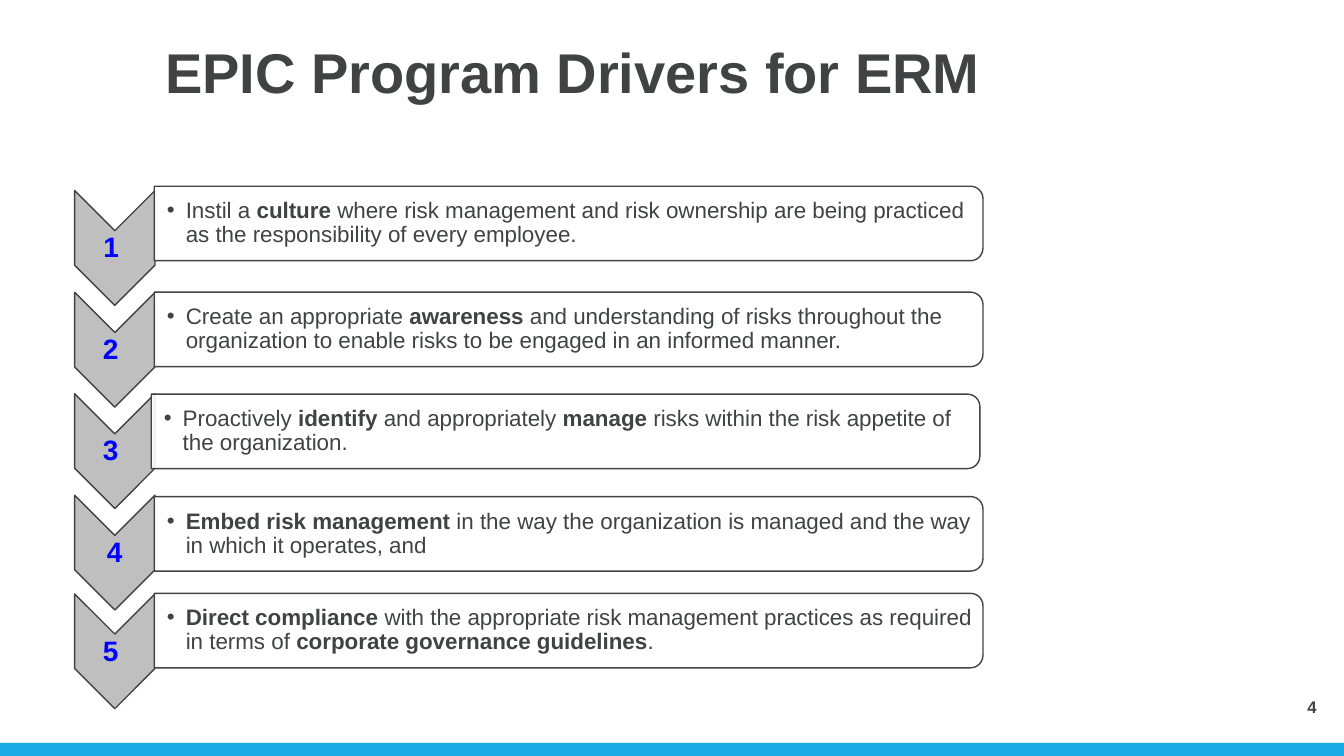
from dataclasses import dataclass

from lxml.etree import SubElement
from pptx import Presentation
from pptx.dml.color import RGBColor
from pptx.enum.shapes import MSO_SHAPE
from pptx.enum.text import MSO_ANCHOR, PP_ALIGN
from pptx.oxml.ns import qn
from pptx.util import Pt


@dataclass(frozen=True)
class Theme:
    ink: str = "414244"
    blue: str = "0000FF"
    grey: str = "BFBFBF"
    white: str = "FFFFFF"
    stripe: str = "00A1E0"
    font: str = "Arial"
    title: int = 40
    number: int = 20
    body: int = 16
    page: int = 12


THEME = Theme()
WIDE, HIGH = 960, 540

DRIVERS = [
    (136.1, 133, 0, 5, "Instil a *culture* where risk management and risk ownership "
     "are being practiced as the responsibility of every employee."),
    (208.8, 208.7, 0, 6, "Create an appropriate *awareness* and understanding of risks "
     "throughout the organization to enable risks to be engaged in an informed manner."),
    (281.2, 281.5, -2.2, 6, "Proactively *identify* and appropriately *manage* risks "
     "within the risk appetite of the organization."),
    (353.7, 354.7, 0, 0, "*Embed risk management *in the way the organization is managed "
     "and the way in which it operates, and"),
    (424.2, 423.8, 0, 6, "*Direct compliance *with the appropriate risk management "
     "practices as required in terms of *corporate governance guidelines*."),
]


def add_text(slide, box, text, size, color=THEME.ink, bold=False, align=PP_ALIGN.LEFT,
             anchor=MSO_ANCHOR.MIDDLE, inset=(7.2, 3.6, 7.2, 3.6), indent=0, space=0.9):
    frame = slide.shapes.add_textbox(*map(Pt, box)).text_frame
    frame.word_wrap = True
    frame.vertical_anchor = anchor
    (frame.margin_left, frame.margin_top,
     frame.margin_right, frame.margin_bottom) = map(Pt, inset)
    para = frame.paragraphs[0]
    para.alignment = align
    para.line_spacing = space
    if indent:
        props = para._p.get_or_add_pPr()
        props.set("marL", str(Pt(indent)))
        props.set("indent", str(-Pt(indent)))
        SubElement(props, qn("a:buFont")).set("typeface", THEME.font)
        SubElement(props, qn("a:buChar")).set("char", "•")
    for index, part in enumerate(text.split("*")):
        if part:
            run = para.add_run()
            run.text = part
            font = run.font
            font.name = THEME.font
            font.size = Pt(size)
            font.bold = bold or index % 2 == 1
            font.color.rgb = RGBColor.from_string(color)


def add_block(slide, kind, box, fill, line=None, alpha=100, turned=False):
    left, top, width, height = box
    if turned:
        left, top = left + (width - height) / 2, top + (height - width) / 2
        width, height = height, width
    shape = slide.shapes.add_shape(kind, *map(Pt, (left, top, width, height)))
    shape.rotation = 90 if turned else 0
    shape.shadow.inherit = False
    shape.fill.solid()
    shape.fill.fore_color.rgb = RGBColor.from_string(fill)
    if alpha < 100:
        color = shape.element.spPr.find(qn("a:solidFill"))[0]
        SubElement(color, qn("a:alpha")).set("val", str(alpha * 1000))
    if line:
        shape.line.color.rgb = RGBColor.from_string(line)
        shape.line.width = Pt(1)
    else:
        shape.line.fill.background()


def add_arrow(slide, box, label, pad):
    left, top, width, height = box
    add_block(slide, MSO_SHAPE.CHEVRON, box, THEME.grey, THEME.ink, turned=True)
    add_text(slide, (left, top + width / 2, width, height - width), label, THEME.number,
             THEME.blue, bold=True, align=PP_ALIGN.CENTER, anchor=MSO_ANCHOR.BOTTOM,
             inset=(0.9, 0.9, 0.9 + pad, 0.9))


def add_panel(slide, box, text):
    left, top, width, height = box
    add_block(slide, MSO_SHAPE.ROUND_2_SAME_RECTANGLE, box, THEME.white, THEME.ink,
              alpha=90, turned=True)
    add_text(slide, (left, top + 2.6, width - 2.6, height - 5.2), text, THEME.body,
             inset=(9, 0.9, 0.9, 0.9), indent=13.5)


def add_list(slide, left, width):
    arrow = 57.4
    for number, (top, level, shift, pad, text) in enumerate(DRIVERS, 1):
        add_arrow(slide, (left, top, arrow, 82), str(number), pad)
        add_panel(slide, (left + arrow - 0.5 + shift, level, width - arrow, 53.2), text)


def add_frame(slide, title, page):
    add_block(slide, MSO_SHAPE.RECTANGLE, (0, 530.6, WIDE, HIGH - 530.6),
              THEME.stripe, alpha=90)
    add_text(slide, (111, 27.4, 610.6, 52.6), title, THEME.title, bold=True)
    add_text(slide, (925.2, 494, 23.8, 29.5), page, THEME.page, bold=True,
             align=PP_ALIGN.CENTER, anchor=MSO_ANCHOR.TOP, space=1.0)


def main():
    deck = Presentation()
    deck.slide_width, deck.slide_height = Pt(WIDE), Pt(HIGH)
    slide = deck.slides.add_slide(deck.slide_layouts[6])
    add_frame(slide, "EPIC Program Drivers for ERM", "4")
    add_list(slide, 53.3, 649.3)
    deck.save("out.pptx")


if __name__ == "__main__":
    main()
